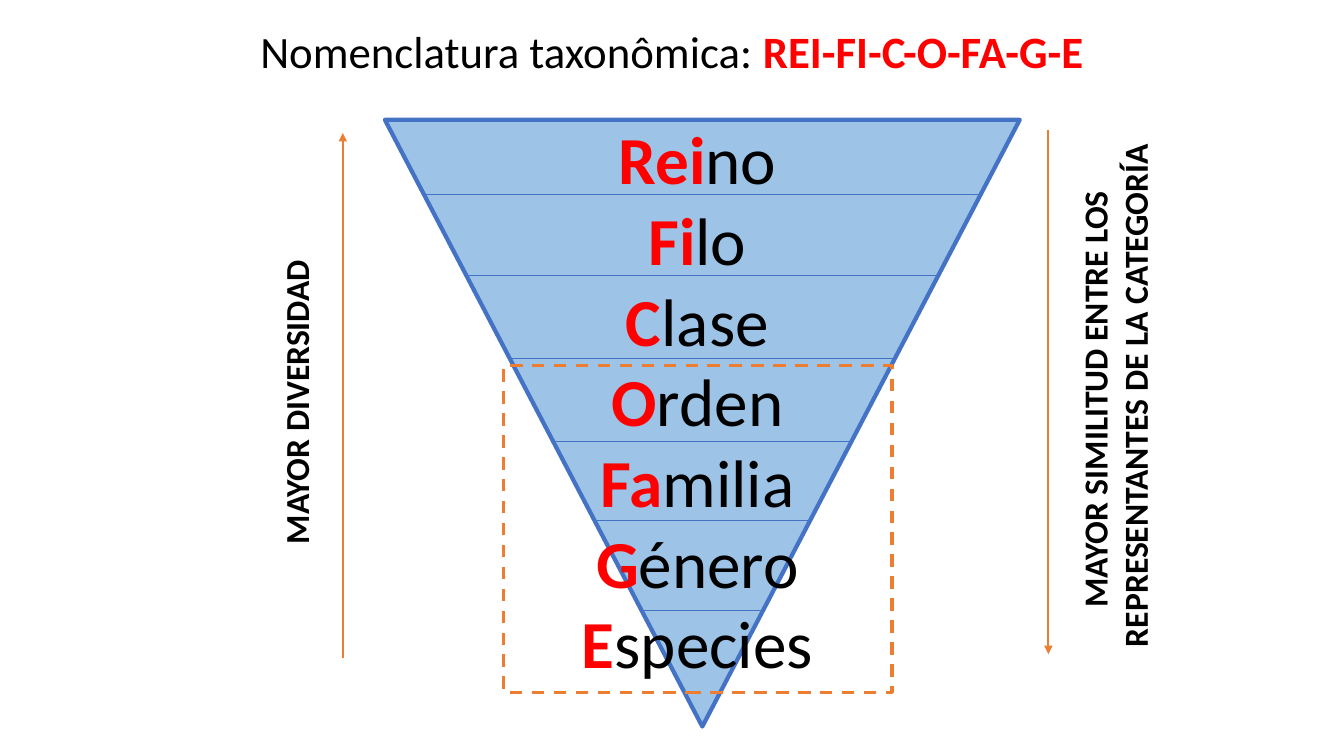
import pptx
import pptx.dml.color
import pptx.enum.dml
import pptx.enum.shapes
import pptx.enum.text
import pptx.oxml.ns
import pptx.util
from lxml import etree
from pptx.util import Cm

BLACK, RED, ORANGE = "000000", "FF0000", "ED7D31"
BLUE, LIGHT_BLUE = "4472C4", "9DC3E6"

TITLE = ("Nomenclatura taxonômica: ", "REI-FI-C-O-FA-G-E")
RANKS = [("Rei", "no"), ("Fi", "lo"), ("C", "lase"), ("O", "rden"),
         ("Fa", "milia"), ("G", "énero"), ("E", "species")]

# Lengths in centimetres; boxes are left, top, width, height
SLIDE_SIZE = (33.87, 19.05)
TITLE_BOX = (0, 0.46, 33.87, 1.63)
RANKS_BOX = (14.17, 2.84, 6.81, 14.63)
TRIANGLE_BOX = (9.7, 3.02, 16, 15.29)
DASHED_BOX = (12.7, 9.22, 9.78, 8.23)
DIVIDERS = [4.9, 6.93, 9.02, 11.13, 13.11, 15.37]
ARROWS = [(8.64, 16.59, 3.35), (26.42, 3.28, 16.48)]  # x, start y, end y
SIDE_LABELS = [
    ((3.58, 9.5, 7.75, 1.27), ["MAYOR DIVERSIDAD"]),
    ((21.44, 8.81, 13.31, 2.31),
     ["MAYOR SIMILITUD ENTRE LOS ", "REPRESENTANTES DE LA CATEGORÍA"]),
]


def color(code):
    return pptx.dml.color.RGBColor.from_string(code)


def lengths(values):
    return [Cm(value) for value in values]


def add_child(parent, tag, **attributes):
    return etree.SubElement(parent, pptx.oxml.ns.qn(tag), attributes)


def place(shape, box):
    shape.left, shape.top, shape.width, shape.height = lengths(box)


def prepare_frame(shape, wrap=True):
    frame = shape.text_frame
    frame.auto_size = pptx.enum.text.MSO_AUTO_SIZE.NONE
    frame.word_wrap = wrap
    frame.vertical_anchor = pptx.enum.text.MSO_ANCHOR.TOP
    return frame


def write_line(frame, index, spans, size):
    """Write one centred paragraph of (text, colour, bold) spans."""
    para = frame.paragraphs[0] if index == 0 else frame.add_paragraph()
    properties = para._p.get_or_add_pPr()
    properties.set("marL", "0")
    properties.set("indent", "0")
    add_child(properties, "a:buNone")
    para.alignment = pptx.enum.text.PP_ALIGN.CENTER
    para.space_before = pptx.util.Pt(0)
    for text, code, bold in spans:
        span = para.add_run()
        span.text = text
        span.font.name = "Calibri"
        span.font.size = pptx.util.Pt(size)
        span.font.bold = bold
        span.font.color.rgb = color(code)


def add_line(page, start, end, code, width, arrow=False):
    line = page.shapes.add_connector(
        pptx.enum.shapes.MSO_CONNECTOR.STRAIGHT, *lengths(start + end))
    line.line.color.rgb = color(code)
    line.line.width = pptx.util.Pt(width)
    if arrow:
        add_child(line.line._get_or_add_ln(), "a:tailEnd", type="triangle")
    add_child(line.element.spPr, "a:effectLst")


def add_outline(page, kind, box, code, width):
    shape = page.shapes.add_shape(kind, *lengths(box))
    shape.shadow.inherit = False
    shape.line.color.rgb = color(code)
    shape.line.width = pptx.util.Pt(width)
    return shape


def add_side_label(page, box, lines):
    label = page.shapes.add_textbox(*lengths(box))
    label.rotation = 270
    frame = prepare_frame(label, wrap=False)
    for index, text in enumerate(lines):
        write_line(frame, index, [(text, BLACK, True)], 24)


def add_triangle(page):
    triangle = add_outline(
        page, pptx.enum.shapes.MSO_SHAPE.ISOSCELES_TRIANGLE, TRIANGLE_BOX, BLUE, 3)
    triangle.fill.solid()
    triangle.fill.fore_color.rgb = color(LIGHT_BLUE)
    triangle.element.spPr.xfrm.set("flipV", "1")


def add_dividers(page):
    """Draw each level line from edge to edge of the inverted triangle."""
    left, top, width, height = TRIANGLE_BOX
    center = left + width / 2
    for y in DIVIDERS:
        half = width / 2 * (top + height - y) / height
        add_line(page, (center - half, y), (center + half, y), BLUE, 0.5)


def main():
    deck = pptx.Presentation()
    deck.slide_width, deck.slide_height = lengths(SLIDE_SIZE)
    page = deck.slides.add_slide(deck.slide_layouts[1])
    title, ranks = page.placeholders

    place(title, TITLE_BOX)
    lead, mnemonic = TITLE
    write_line(prepare_frame(title), 0,
               [(lead, BLACK, False), (mnemonic, RED, True)], 32)

    for x, start, end in ARROWS:
        add_line(page, (x, start), (x, end), ORANGE, 1.5, arrow=True)
    for box, lines in SIDE_LABELS:
        add_side_label(page, box, lines)

    add_triangle(page)

    place(ranks, RANKS_BOX)
    page.shapes.element.append(ranks.element)  # in front of the triangle
    frame = prepare_frame(ranks)
    for index, (initials, ending) in enumerate(RANKS):
        write_line(frame, index,
                   [(initials, RED, True), (ending, BLACK, False)], 48)

    add_dividers(page)
    dashed = add_outline(
        page, pptx.enum.shapes.MSO_SHAPE.RECTANGLE, DASHED_BOX, ORANGE, 2.25)
    dashed.fill.background()
    dashed.line.dash_style = pptx.enum.dml.MSO_LINE.DASH

    deck.save("out.pptx")


if __name__ == "__main__":
    main()
